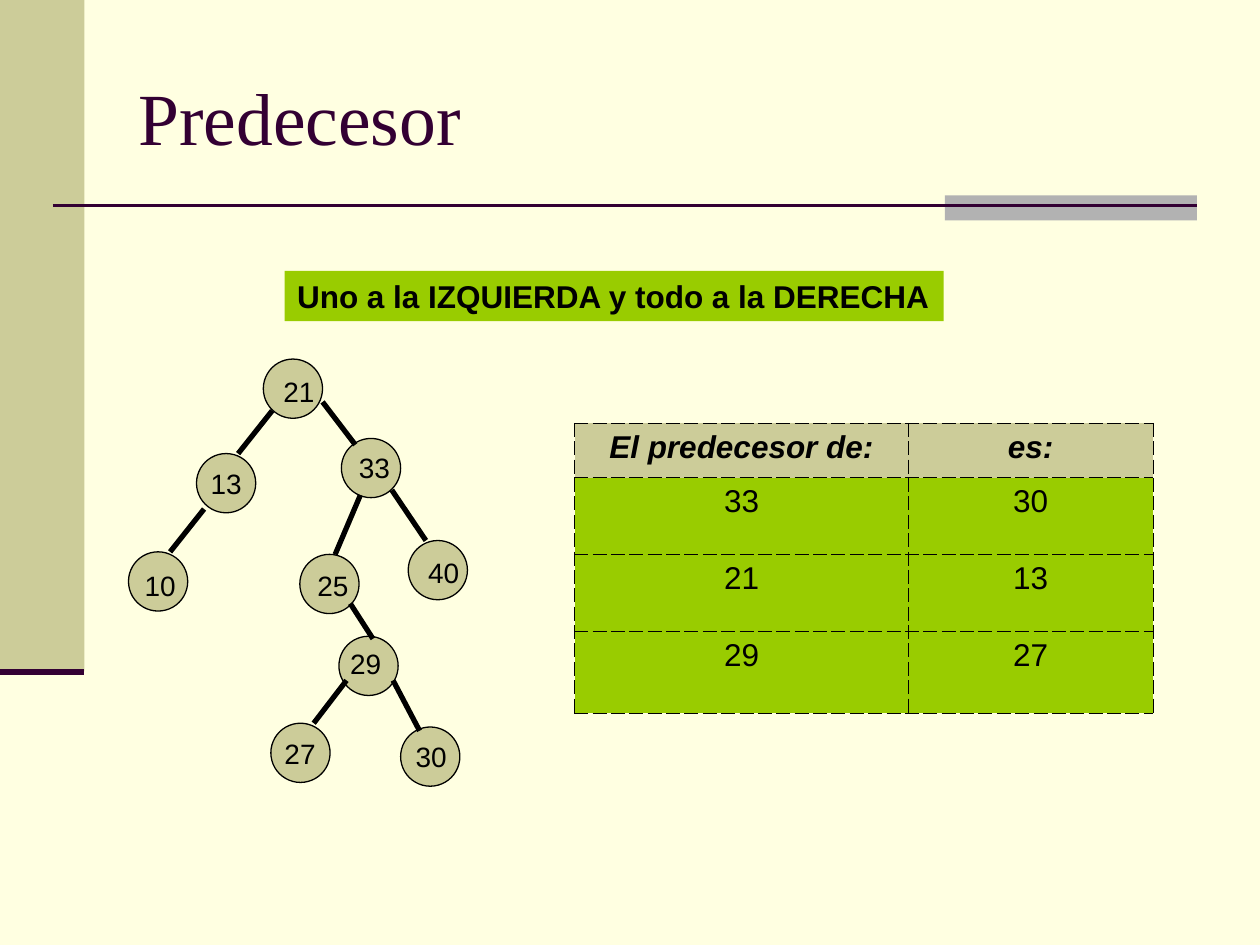
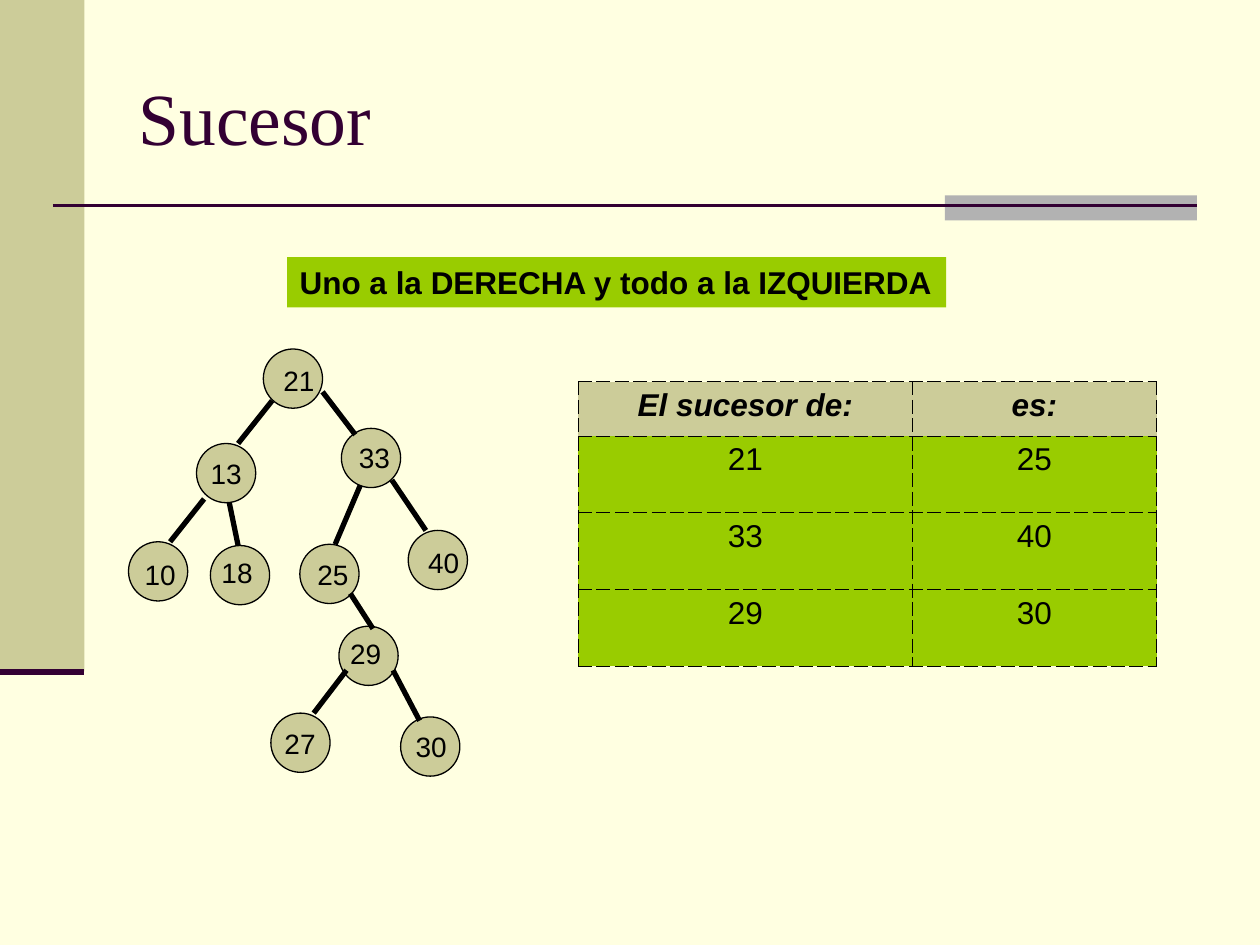
from dataclasses import dataclass

from lxml.etree import SubElement
from pptx import Presentation
from pptx.dml.color import RGBColor
from pptx.enum.shapes import MSO_CONNECTOR as Conn, MSO_SHAPE as Shape
from pptx.enum.text import MSO_ANCHOR as Anchor, MSO_AUTO_SIZE as AutoSize, PP_ALIGN as Align
from pptx.oxml import parse_xml
from pptx.oxml.ns import nsdecls, qn
from pptx.util import Inches, Pt

COLORS = {
    "background": "FFFFE1",
    "sand": "CCCC99",
    "gray": "B2B2B2",
    "plum": "330033",
    "green": "99CC00",
    "black": "000000",
}
TITLE_FONT, BODY_FONT = "Times New Roman", "Arial"

# The slide is a grid of 100 columns by 75 rows.
WIDTH, HEIGHT = Inches(10), Inches(7.5)
COLUMN, ROW = WIDTH / 100, HEIGHT / 75
DIAMETER = 4.7
LABEL_HEIGHT = 3.7


@dataclass(frozen=True)
class Node:
    """A tree node; without a label position its text sits inside the circle."""
    text: str
    x: float
    y: float
    label_dx: float | None = None
    label_dy: float = 0
    label_width: float = 5.4


@dataclass(frozen=True)
class Line:
    x1: float
    y1: float
    x2: float
    y2: float
    weight: float = 3
    color: str = "black"


@dataclass(frozen=True)
class Band:
    x: float
    y: float
    width: float
    height: float
    color: str


@dataclass(frozen=True)
class Lesson:
    title: str
    rule: str
    rule_at: tuple[float, float]
    tree_shift: float
    nodes: list[Node]
    edges: list[Line]
    table_at: tuple[float, float]
    row_heights: tuple[float, ...]
    rows: list[tuple[str, str]]


BANDS = [
    Band(0, 0, 6.7, 53.3, "sand"),
    Band(75, 15.5, 20, 2, "gray"),
]
RULES = [
    Line(4.2, 16.3, 95, 16.3, 1.5, "plum"),
    Line(0, 53.3, 6.7, 53.3, 3.5, "plum"),
]
NODES = [
    Node("21", 20.9, 28.5, 0.6, 0.7, 4.7),
    Node("13", 15.6, 36),
    Node("33", 27.1, 34.8, 0.4, 0.5, 6),
    Node("10", 10.2, 43.8, 0.3, 0.8),
    Node("25", 23.8, 44, 0.4, 0.6),
    Node("40", 32.4, 42.9, 0.6, 0.7, 4.7),
    Node("29", 26.9, 50.5, -0.1, 0.3),
    Node("27", 21.5, 57.4, 0.1, 0.6),
    Node("30", 31.8, 57.7, 0.2, 0.5),
]
EDGES = [
    Line(21.6, 32.6, 18.9, 36),
    Line(16.2, 40.4, 13.5, 43.8),
    Line(25.6, 31.9, 28.2, 35.3),
    Line(31.1, 38.9, 33.8, 42.9),
    Line(28.6, 39.3, 26.6, 44),
    Line(27.8, 47.9, 29.6, 50.7),
    Line(27.5, 54, 24.9, 57.4),
    Line(31.2, 54, 33.3, 58),
]
COLUMN_WIDTHS = (26.5, 19.4)

LESSONS = [
    Lesson(
        title="Predecesor",
        rule="Uno a la IZQUIERDA y todo a la DERECHA",
        rule_at=(22.6, 21.5),
        tree_shift=0,
        nodes=NODES,
        edges=EDGES,
        table_at=(45.6, 33.6),
        row_heights=(4.3, 6.1, 6.1, 6.5),
        rows=[("El predecesor de:", "es:"), ("33", "30"), ("21", "13"), ("29", "27")],
    ),
    Lesson(
        title="Sucesor",
        rule="Uno a la DERECHA y todo a la IZQUIERDA",
        rule_at=(22.8, 20.4),
        tree_shift=-0.8,
        nodes=NODES + [Node("18", 16.7, 44.1, -0.1, 0.3)],
        edges=EDGES + [Line(18.2, 40.7, 18.9, 44.1)],
        table_at=(45.9, 30.3),
        row_heights=(4.3, 6.1, 6.1, 6.1),
        rows=[("El sucesor de:", "es:"), ("21", "25"), ("33", "40"), ("29", "30")],
    ),
]


def rgb(name: str) -> RGBColor:
    return RGBColor.from_string(COLORS[name])


def cols(n: float) -> int:
    return round(n * COLUMN)


def rows(n: float) -> int:
    return round(n * ROW)


def box(x: float, y: float, width: float, height: float) -> tuple[int, ...]:
    return cols(x), rows(y), cols(width), rows(height)


def write(tf, text: str, size: float, font: str = BODY_FONT, color: str = "black",
          bold: bool = False, italic: bool = False, align=Align.LEFT, before: float = 0) -> None:
    tf.text = text
    p = tf.paragraphs[0]
    p.alignment, p.space_before = align, Pt(before)
    f = p.runs[0].font
    f.name, f.size, f.bold, f.italic = font, Pt(size), bold, italic
    f.color.rgb = rgb(color)


def add_filled(slide, kind, place: tuple[int, ...], color: str):
    sp = slide.shapes.add_shape(kind, *place)
    sp.shadow.inherit = False
    sp.fill.solid()
    sp.fill.fore_color.rgb = rgb(color)
    sp.line.fill.background()
    return sp


def add_line(slide, line: Line, shift: float = 0) -> None:
    cxn = slide.shapes.add_connector(
        Conn.STRAIGHT, cols(line.x1), rows(line.y1 + shift), cols(line.x2), rows(line.y2 + shift))
    cxn.line.width = Pt(line.weight)
    cxn.line.color.rgb = rgb(line.color)
    SubElement(cxn._element.spPr, qn("a:effectLst"))


def add_frame(slide, title: str) -> None:
    """Draw the bands and rules shared by the slides and fill in the title."""
    for band in BANDS:
        add_filled(slide, Shape.RECTANGLE, box(band.x, band.y, band.width, band.height), band.color)
    for rule in RULES:
        add_line(slide, rule)
    sp = slide.shapes.title
    sp.left, sp.top, sp.width, sp.height = box(10, 3, 85, 12.5)
    sp.text_frame.vertical_anchor = Anchor.MIDDLE
    write(sp.text_frame, title, 42, TITLE_FONT, "plum")


def add_circle(slide, node: Node, shift: float) -> None:
    sp = add_filled(slide, Shape.OVAL, box(node.x, node.y + shift, DIAMETER, DIAMETER), "sand")
    sp.line.color.rgb = rgb("black")
    sp.line.width = Pt(0.75)
    if node.label_dx is None:
        tf = sp.text_frame
        tf.word_wrap, tf.vertical_anchor = False, Anchor.MIDDLE
        write(tf, node.text, 16, align=Align.CENTER)


def add_label(slide, node: Node, shift: float) -> None:
    tb = slide.shapes.add_textbox(*box(
        node.x + node.label_dx, node.y + node.label_dy + shift, node.label_width, LABEL_HEIGHT))
    tf = tb.text_frame
    tf.word_wrap, tf.auto_size = True, AutoSize.SHAPE_TO_FIT_TEXT
    write(tf, node.text, 16, before=10)


def add_tree(slide, lesson: Lesson) -> None:
    for node in lesson.nodes:
        add_circle(slide, node, lesson.tree_shift)
    for edge in lesson.edges:
        add_line(slide, edge, lesson.tree_shift)
    for node in lesson.nodes:
        if node.label_dx is not None:
            add_label(slide, node, lesson.tree_shift)


def set_dashed_borders(cell) -> None:
    tcPr = cell._tc.get_or_add_tcPr()
    for i, side in enumerate(("lnL", "lnR", "lnT", "lnB")):
        tcPr.insert(i, parse_xml(
            f'<a:{side} {nsdecls("a")} w="{Pt(0.45)}"><a:solidFill>'
            f'<a:srgbClr val="{COLORS["black"]}"/></a:solidFill>'
            f'<a:prstDash val="dash"/></a:{side}>'))


def add_answers(slide, lesson: Lesson) -> None:
    place = box(*lesson.table_at, sum(COLUMN_WIDTHS), sum(lesson.row_heights))
    table = slide.shapes.add_table(len(lesson.rows), len(COLUMN_WIDTHS), *place).table
    table.first_row = table.horz_banding = False
    for column, width in zip(table.columns, COLUMN_WIDTHS):
        column.width = cols(width)
    for r, (texts, height) in enumerate(zip(lesson.rows, lesson.row_heights)):
        table.rows[r].height = rows(height)
        header = r == 0
        for c, text in enumerate(texts):
            cell = table.cell(r, c)
            cell.fill.solid()
            cell.fill.fore_color.rgb = rgb("sand" if header else "green")
            write(cell.text_frame, text, 18, bold=header, italic=header,
                  align=Align.CENTER, before=4.5)
            set_dashed_borders(cell)


def add_rule(slide, lesson: Lesson) -> None:
    sp = add_filled(slide, Shape.RECTANGLE, box(*lesson.rule_at, 52.3, 4), "green")
    tf = sp.text_frame
    tf.word_wrap, tf.auto_size = False, AutoSize.SHAPE_TO_FIT_TEXT
    tf.vertical_anchor = Anchor.TOP
    write(tf, lesson.rule, 18, bold=True)


def main() -> None:
    prs = Presentation()
    prs.slide_width, prs.slide_height = WIDTH, HEIGHT
    background = prs.slide_master.background.fill
    background.solid()
    background.fore_color.rgb = rgb("background")
    title_only = prs.slide_layouts[5]
    for lesson in LESSONS:
        slide = prs.slides.add_slide(title_only)
        add_frame(slide, lesson.title)
        add_tree(slide, lesson)
        add_answers(slide, lesson)
        add_rule(slide, lesson)
    prs.save("out.pptx")


if __name__ == "__main__":
    main()
